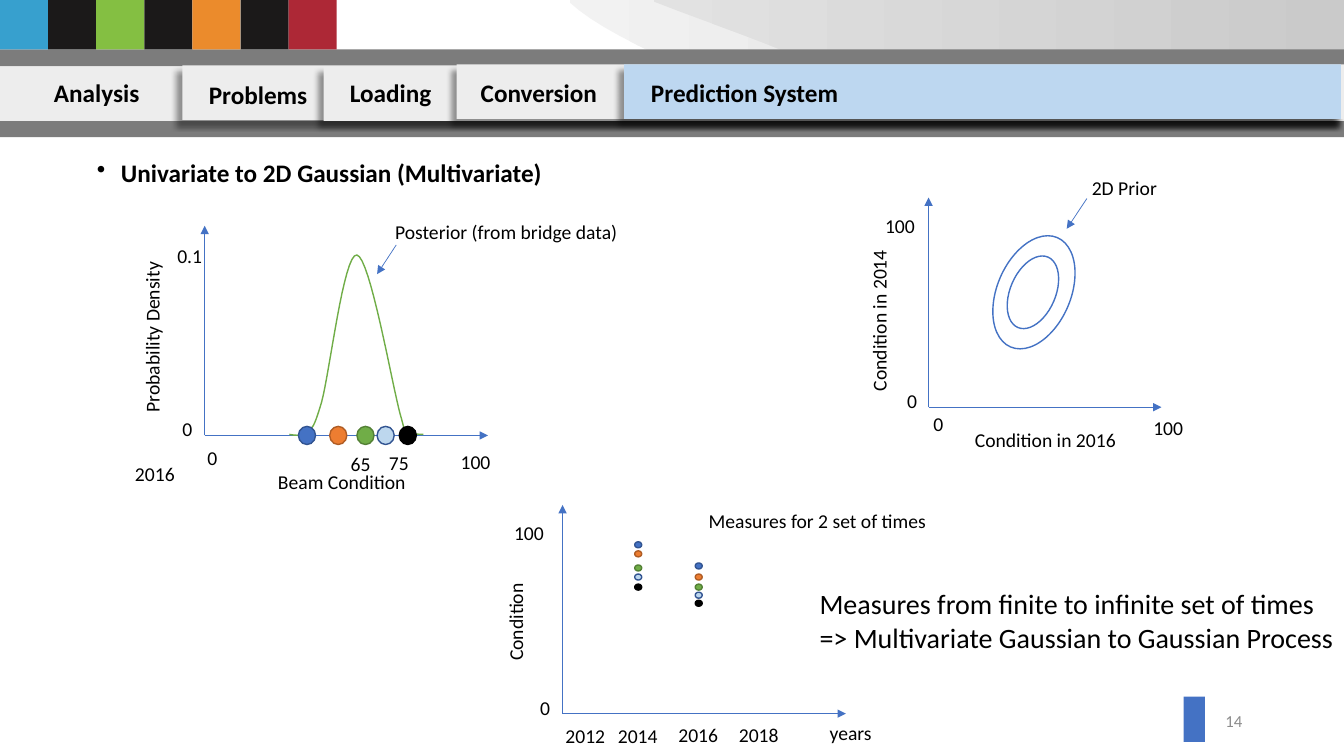
from lxml import etree
from pptx import Presentation
from pptx.dml.color import RGBColor
from pptx.enum.shapes import MSO_CONNECTOR, MSO_SHAPE
from pptx.enum.text import MSO_ANCHOR, MSO_AUTO_SIZE, PP_ALIGN
from pptx.oxml.ns import qn
from pptx.util import Inches, Pt

RECTANGLE, OVAL = MSO_SHAPE.RECTANGLE, MSO_SHAPE.OVAL
STRAIGHT = MSO_CONNECTOR.STRAIGHT
LEFT, CENTER, RIGHT = PP_ALIGN.LEFT, PP_ALIGN.CENTER, PP_ALIGN.RIGHT
MIDDLE = MSO_ANCHOR.MIDDLE
NO_AUTOFIT = MSO_AUTO_SIZE.NONE

FONT = "Calibri"
TITLE_ONLY = 5
BLACK = RGBColor(0x00, 0x00, 0x00)
WHITE = RGBColor(0xFF, 0xFF, 0xFF)
BLUE = RGBColor(0x44, 0x72, 0xC4)
DARK_BLUE = RGBColor(0x32, 0x54, 0x91)
PALE_BLUE = RGBColor(0xBD, 0xD7, 0xEE)
ACTIVE_TAB = RGBColor(0xBD, 0xD7, 0xF0)
ORANGE = RGBColor(0xED, 0x7D, 0x31)
DARK_ORANGE = RGBColor(0xAF, 0x5C, 0x24)
GREEN = RGBColor(0x70, 0xAD, 0x47)
DARK_GREEN = RGBColor(0x53, 0x80, 0x35)
TAB_GRAY = RGBColor(0xED, 0xED, 0xED)
BAND_GRAY = RGBColor(0x7C, 0x7C, 0x7C)
NUMBER_GRAY = RGBColor(0x8C, 0x8C, 0x8C)
SWOOSH_PALE = RGBColor(0xF2, 0xF2, 0xF2)
SWOOSH_MID = RGBColor(0xD8, 0xD8, 0xD8)
SWOOSH_LIGHT = RGBColor(0xE2, 0xE2, 0xE2)
SWOOSH_DARK = RGBColor(0xCA, 0xCA, 0xCA)
INK = RGBColor(0x1B, 0x19, 0x19)
STRIPES = [RGBColor(0x37, 0xA0, 0xCE), INK, RGBColor(0x84, 0xBF, 0x42), INK,
           RGBColor(0xEB, 0x8B, 0x2C), INK, RGBColor(0xAD, 0x28, 0x36)]
BEAMS = [(BLUE, DARK_BLUE), (ORANGE, DARK_ORANGE), (GREEN, DARK_GREEN),
         (PALE_BLUE, DARK_BLUE), (BLACK, BLACK)]


def format_text(frame, text, size=14, color=BLACK, bold=False, align=LEFT):
    for number, line in enumerate(text.split("\n")):
        para = frame.paragraphs[0] if number == 0 else frame.add_paragraph()
        para.alignment = align
        span = para.add_run()
        span.text = line
        span.font.name = FONT
        span.font.size = Pt(size)
        span.font.bold = bold
        span.font.color.rgb = color


def add_text(page, text, left, top, width, height=0.34, wrap=False, rotation=0,
             anchor=None, **text_format):
    box = page.shapes.add_textbox(Inches(left), Inches(top), Inches(width), Inches(height))
    box.rotation = rotation
    box.text_frame.word_wrap = wrap
    if anchor is not None:
        box.text_frame.vertical_anchor = anchor
    format_text(box.text_frame, text, **text_format)


def add_figure(page, kind, left, top, width, height, fill, line=None, rotation=0):
    figure = page.shapes.add_shape(kind, Inches(left), Inches(top), Inches(width), Inches(height))
    figure.shadow.inherit = False
    figure.rotation = rotation
    figure.fill.solid()
    figure.fill.fore_color.rgb = fill
    if line is None:
        figure.line.fill.background()
    else:
        figure.line.color.rgb = line
        figure.line.width = Pt(1)
    return figure


def cast_shadow(figure):
    """Give the figure a soft shadow toward the lower left."""
    effects = figure.element.spPr.find(qn("a:effectLst"))
    shadow = etree.SubElement(effects, qn("a:outerShdw"), blurRad=str(Pt(4)),
                              dist=str(Pt(6)), dir=str(135 * 60000), rotWithShape="0")
    color = etree.SubElement(shadow, qn("a:srgbClr"), val=str(BLACK))
    etree.SubElement(color, qn("a:alpha"), val="40000")


def add_arrow(page, start, end):
    arrow = page.shapes.add_connector(STRAIGHT, *map(Inches, start + end))
    arrow.line.color.rgb = BLUE
    arrow.line.width = Pt(0.5)
    properties = arrow.element.spPr
    etree.SubElement(properties.find(qn("a:ln")), qn("a:tailEnd"), type="triangle")
    etree.SubElement(properties, qn("a:effectLst"))


def add_axes(page, origin, right, top):
    add_arrow(page, origin, (right, origin[1]))
    add_arrow(page, origin, (origin[0], top))


def bezier_points(start, *segments, steps=16):
    """Sample a chain of cubic segments, each two controls and an end."""
    points = [start]
    for segment in segments:
        corners = (points[-1],) + segment
        for step in range(1, steps + 1):
            t = step / steps
            weights = ((1 - t) ** 3, 3 * t * (1 - t) ** 2, 3 * t * t * (1 - t), t ** 3)
            points.append(tuple(sum(w * corner[axis] for w, corner in zip(weights, corners))
                                for axis in (0, 1)))
    return points


def add_outline(page, points, close):
    corners = [(Inches(x), Inches(y)) for x, y in points]
    builder = page.shapes.build_freeform(*corners[0])
    builder.add_line_segments(corners[1:], close=close)
    outline = builder.convert_to_shape()
    outline.shadow.inherit = False
    return outline


def add_swoosh(page, curve, left_color, right_color):
    edge = [point for point in curve if point[1] >= 0]
    swoosh = add_outline(page, edge + [(edge[-1][0], 0), (13.33, 0), (13.33, 0.65)], True)
    swoosh.line.fill.background()
    swoosh.fill.gradient()
    swoosh.fill.gradient_angle = 0
    for stop, color in zip(swoosh.fill.gradient_stops, (left_color, right_color)):
        stop.color.rgb = color


def add_heading(page, text):
    title = page.shapes.title
    title.left, title.top, title.width, title.height = map(Inches, (0.86, 1.51, 4.89, 0.4))
    frame = title.text_frame
    frame.auto_size = NO_AUTOFIT
    frame.vertical_anchor = MIDDLE
    format_text(frame, text, size=18, bold=True)
    properties = frame.paragraphs[0]._p.get_or_add_pPr()
    properties.set("marL", str(Inches(0.24)))
    properties.set("indent", str(-Inches(0.24)))
    etree.SubElement(properties, qn("a:buChar"), char="•")


def draw_banner(page):
    add_swoosh(page, bezier_points((6.75, 0.65), ((5.47, 0.07), (5.35, -0.16), (5.35, -0.84))),
               SWOOSH_PALE, SWOOSH_MID)
    add_swoosh(page, bezier_points((8.12, 0.65), ((6.94, 0.12), (5.31, -0.24), (5.31, -0.85))),
               SWOOSH_LIGHT, SWOOSH_DARK)
    for top in (0.49, 1.19):
        add_figure(page, RECTANGLE, 0, top, 13.33, 0.17, BAND_GRAY)
    for number, color in enumerate(STRIPES):
        add_figure(page, RECTANGLE, number * 3.34 / 7, 0, 3.34 / 7, 0.49, color)
    add_figure(page, RECTANGLE, 0, 0.66, 13.33, 0.54, TAB_GRAY)
    for left, top, right, color in [(1.81, 0.65, 13.32, TAB_GRAY), (3.21, 0.66, 13.33, TAB_GRAY),
                                    (4.53, 0.64, 13.33, TAB_GRAY), (6.19, 0.64, 13.3, ACTIVE_TAB)]:
        cast_shadow(add_figure(page, RECTANGLE, left, top, right - left, 0.54, color))
    for name, left, top, width in [("Analysis", 0.11, 0.72, 1.7), ("Problems", 1.71, 0.74, 1.7),
                                   ("Loading", 3.06, 0.72, 1.63), ("Conversion", 4.53, 0.72, 1.63),
                                   ("Prediction System", 6.15, 0.72, 2.47)]:
        add_text(page, name, left, top, width, 0.4, wrap=True, size=18, bold=True, align=CENTER)


def draw_density(page):
    add_axes(page, (2.03, 4.32), 4.84, 2.24)
    add_text(page, "Probability Density", 0.65, 3.16, 1.72, rotation=270)
    for text, left, top, width in [("100", 4.47, 4.41, 0.5), ("75", 3.76, 4.42, 0.4),
                                   ("65", 3.38, 4.43, 0.4), ("2016", 1.24, 4.53, 0.6),
                                   ("0", 1.71, 4.09, 0.3), ("0.1", 1.66, 2.37, 0.45),
                                   ("0", 1.96, 4.37, 0.3),
                                   ("Posterior (from bridge data)", 3.82, 2.13, 2.43)]:
        add_text(page, text, left, top, width)
    add_text(page, "Beam Condition", 2.6, 4.61, 1.58, align=CENTER)
    bell = bezier_points((2.87, 4.31), ((2.93, 4.32), (2.99, 4.33), (3.04, 4.28)),
                         ((3.1, 4.23), (3.1, 4.29), (3.19, 3.99)),
                         ((3.27, 3.7), (3.41, 2.51), (3.54, 2.53)),
                         ((3.67, 2.55), (3.89, 3.82), (3.97, 4.11)),
                         ((4.05, 4.4), (4, 4.25), (4.03, 4.28)),
                         ((4.07, 4.31), (4.2, 4.31), (4.2, 4.31)))
    curve = add_outline(page, bell, False)
    curve.fill.background()
    curve.line.color.rgb = GREEN
    curve.line.width = Pt(1)
    for left, colors in zip((2.96, 3.27, 3.54, 3.74, 3.96), BEAMS):
        add_figure(page, OVAL, left, 4.23, 0.17, 0.18, *colors)
    add_arrow(page, (3.93, 2.43), (3.74, 2.72))


def draw_prior(page):
    add_axes(page, (9.21, 4.04), 11.52, 1.96)
    add_text(page, "Condition in 2014", 7.91, 3, 1.62, rotation=270)
    for text, left, top, width in [("Condition in 2016", 9.57, 4.2, 1.62), ("0", 8.9, 3.81, 0.3),
                                   ("100", 8.68, 2.07, 0.5), ("100", 11.34, 4.08, 0.5),
                                   ("0", 9.16, 4.04, 0.26), ("2D Prior", 10.73, 1.7, 0.85)]:
        add_text(page, text, left, top, width)
    for ring in [(9.89, 2.31, 0.73, 1.18), (10.02, 2.52, 0.45, 0.76)]:
        add_figure(page, OVAL, *ring, WHITE, BLUE, rotation=23.1)
    add_arrow(page, (10.78, 1.97), (10.58, 2.27))


def draw_measures(page):
    add_axes(page, (5.58, 7.08), 8.39, 5.01)
    add_text(page, "Condition", 4.6, 5.97, 1.03, rotation=270)
    for text, left, top, width in [("0", 5.26, 6.86, 0.3), ("100", 5, 5.12, 0.5),
                                   ("2012", 5.51, 7.13, 0.6), ("2014", 6.03, 7.13, 0.6),
                                   ("2016", 6.63, 7.12, 0.6), ("2018", 7.23, 7.12, 0.6),
                                   ("years", 8.13, 7.1, 0.62),
                                   ("Measures for 2 set of times", 6.93, 5, 2.38)]:
        add_text(page, text, left, top, width)
    for left, tops in [(6.3, (5.37, 5.46, 5.6, 5.69, 5.79)), (6.9, (5.58, 5.69, 5.79, 5.87, 5.95))]:
        for top, colors in zip(tops, BEAMS):
            add_figure(page, OVAL, left, top, 0.06, 0.07, *colors, rotation=90)


def main():
    deck = Presentation()
    deck.slide_width, deck.slide_height = Inches(13.33), Inches(7.5)
    page = deck.slides.add_slide(deck.slide_layouts[TITLE_ONLY])
    draw_banner(page)
    add_heading(page, "Univariate to 2D Gaussian (Multivariate)")
    draw_density(page)
    draw_prior(page)
    draw_measures(page)
    add_text(page, "Measures from finite to infinite set of times\n"
             "=> Multivariate Gaussian to Gaussian Process", 8.03, 5.77, 5.36, 0.77, size=20)
    add_text(page, "14", 9.42, 6.95, 3, 0.4, wrap=True, anchor=MIDDLE,
             size=12, color=NUMBER_GRAY, align=RIGHT)
    add_figure(page, RECTANGLE, 11.74, 6.91, 0.21, 0.45, BLUE)
    deck.save("out.pptx")


if __name__ == "__main__":
    main()
